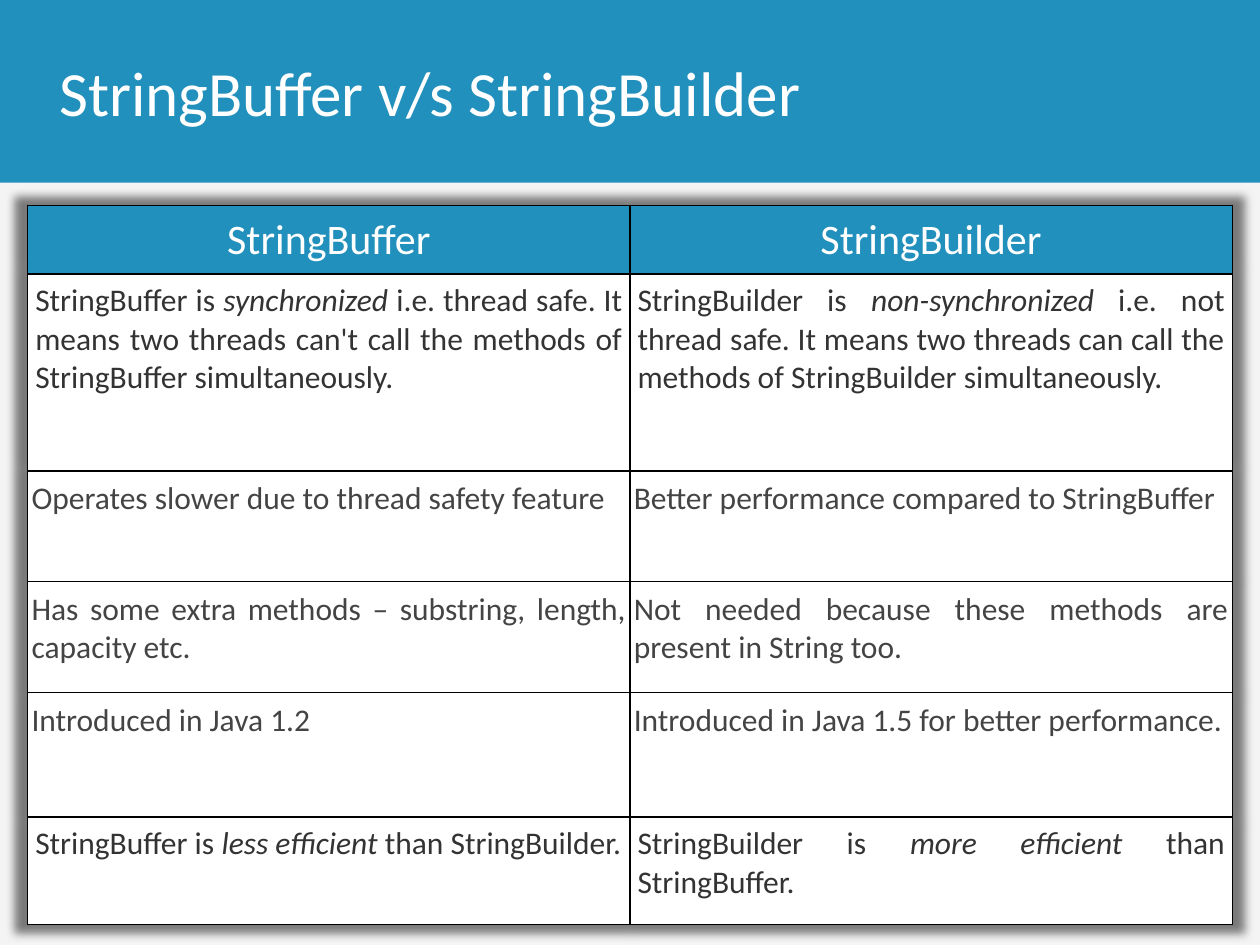
from lxml import etree
from pptx import Presentation
from pptx.dml.color import RGBColor
from pptx.enum.shapes import MSO_SHAPE
from pptx.enum.text import MSO_ANCHOR, PP_ALIGN
from pptx.oxml import parse_xml
from pptx.oxml.ns import nsdecls, qn
from pptx.util import Inches, Pt

BLUE = RGBColor(0x21, 0x90, 0xBC)
WHITE = RGBColor(0xFF, 0xFF, 0xFF)
BACKGROUND = RGBColor(0xF4, 0xF4, 0xF5)
DARK = RGBColor(0x33, 0x33, 0x33)
GREY = RGBColor(0x44, 0x44, 0x44)
FONT = "Calibri"

TITLE = "StringBuffer v/s StringBuilder"
ROWS = [
    (0.52, ["StringBuffer"], ["StringBuilder"]),
    (1.56,
     ["StringBuffer is ", "synchronized",
      " i.e. thread safe. It means two threads can't call the methods of StringBuffer simultaneously."],
     ["StringBuilder is ", "non-synchronized",
      " i.e. not thread safe. It means two threads can call the methods of StringBuilder simultaneously."]),
    (0.88, ["Operates slower due to thread safety feature"],
     ["Better performance compared to StringBuffer"]),
    (0.88, ["Has some extra methods – substring, length, capacity etc."],
     ["Not needed because these methods are present in String too."]),
    (0.99, ["Introduced in Java 1.2"],
     ["Introduced in Java 1.5 for better performance."]),
    (0.85, ["StringBuffer is ", "less efficient", " than StringBuilder."],
     ["StringBuilder is ", "more efficient", " than StringBuffer."]),
]
COLUMN_WIDTH = 4.78
SHADOW = (
    f'<a:effectLst {nsdecls("a")}><a:outerShdw blurRad="63500" sx="102000" sy="102000" '
    'algn="ctr" rotWithShape="0"><a:srgbClr val="000000"><a:alpha val="50000"/></a:srgbClr>'
    '</a:outerShdw></a:effectLst>'
)


def set_font(paragraph, size, color):
    paragraph.font.name = FONT
    paragraph.font.size = Pt(size)
    paragraph.font.color.rgb = color


def add_borders(cell):
    properties = cell._tc.get_or_add_tcPr()
    for index, side in enumerate(("lnL", "lnR", "lnT", "lnB")):
        line = etree.Element(qn(f"a:{side}"), w=str(Pt(1)))
        fill = etree.SubElement(line, qn("a:solidFill"))
        etree.SubElement(fill, qn("a:srgbClr"), val="000000")
        properties.insert(index, line)


def fill_cell(cell, pieces, is_header):
    has_emphasis = len(pieces) > 1
    side, end = (0.06, 0.06) if has_emphasis else (0.03, 0.07)
    cell.margin_left = cell.margin_right = Inches(side)
    cell.margin_top = cell.margin_bottom = Inches(end)
    cell.fill.solid()
    cell.fill.fore_color.rgb = BLUE if is_header else WHITE
    paragraph = cell.text_frame.paragraphs[0]
    for index, piece in enumerate(pieces):
        run = paragraph.add_run()
        run.text = piece
        if index == 1:
            run.font.italic = True
    if is_header:
        paragraph.alignment = PP_ALIGN.CENTER
        set_font(paragraph, 24, WHITE)
    else:
        paragraph.alignment = PP_ALIGN.JUSTIFY
        set_font(paragraph, 18, DARK if has_emphasis else GREY)
    add_borders(cell)


def add_title(slide):
    band = slide.shapes.add_shape(MSO_SHAPE.RECTANGLE, 0, 0, Inches(10), Inches(1.45))
    band.shadow.inherit = False
    band.fill.solid()
    band.fill.fore_color.rgb = BLUE
    band.line.fill.background()
    title = slide.shapes.title
    title._element.addprevious(band._element)
    title.left, title.top = Inches(0.37), Inches(0)
    title.width, title.height = Inches(8.62), Inches(1.45)
    title.text_frame.text = TITLE
    title.text_frame.vertical_anchor = MSO_ANCHOR.MIDDLE
    paragraph = title.text_frame.paragraphs[0]
    paragraph.alignment = PP_ALIGN.LEFT
    set_font(paragraph, 36, WHITE)


def add_comparison(slide):
    height = sum(row[0] for row in ROWS)
    table = slide.shapes.add_table(
        len(ROWS), 2, Inches(0.22), Inches(1.63), Inches(2 * COLUMN_WIDTH), Inches(height)
    ).table
    table.first_row = table.horz_banding = False
    table._tbl.tblPr.insert(0, parse_xml(SHADOW))
    for column in table.columns:
        column.width = Inches(COLUMN_WIDTH)
    for row_index, (row_height, *cells) in enumerate(ROWS):
        table.rows[row_index].height = Inches(row_height)
        for column_index, pieces in enumerate(cells):
            fill_cell(table.cell(row_index, column_index), pieces, row_index == 0)


def main():
    presentation = Presentation()
    presentation.slide_width, presentation.slide_height = Inches(10), Inches(7.5)
    slide = presentation.slides.add_slide(presentation.slide_layouts[5])
    slide.background.fill.solid()
    slide.background.fill.fore_color.rgb = BACKGROUND
    add_title(slide)
    add_comparison(slide)
    presentation.save("out.pptx")


if __name__ == "__main__":
    main()
